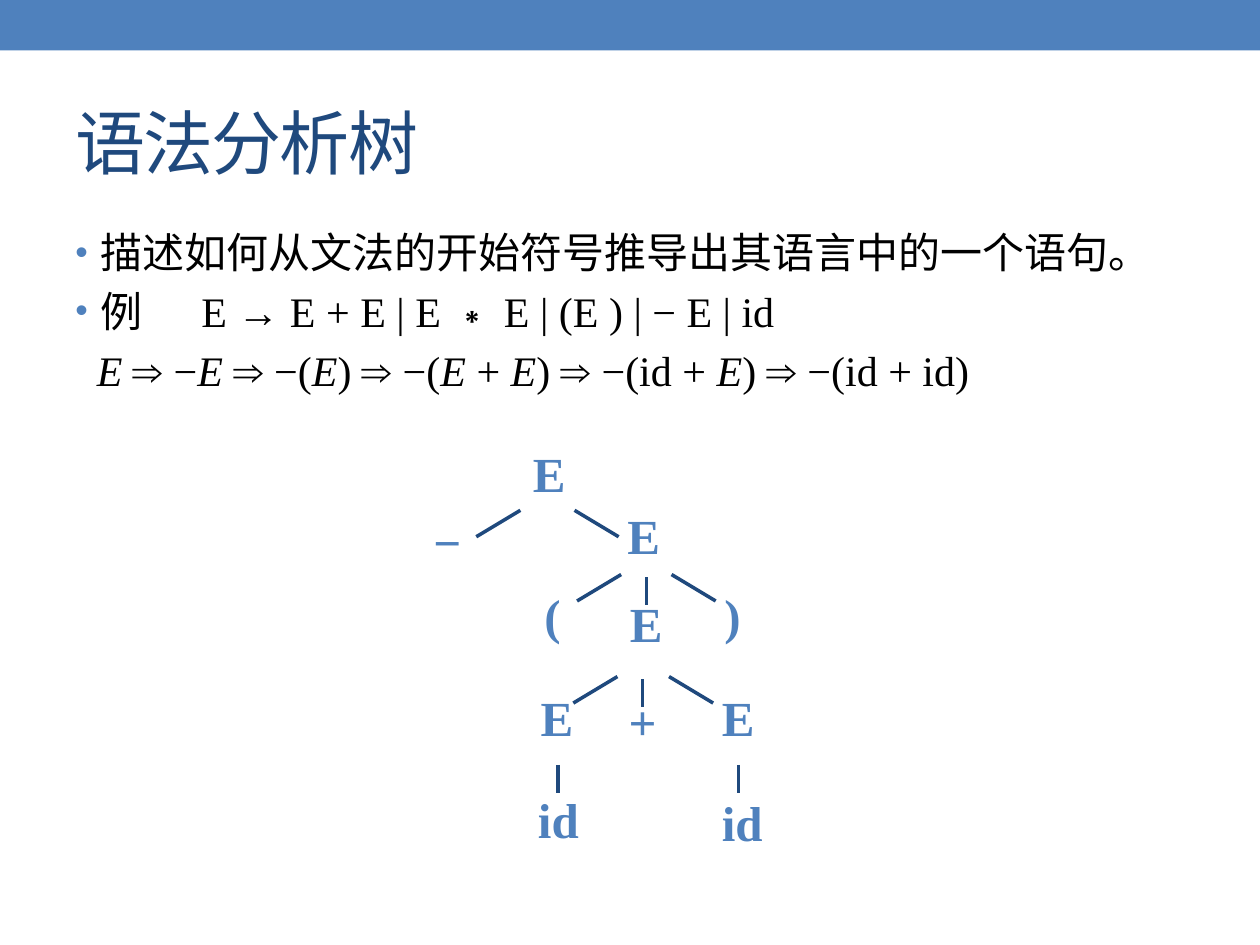
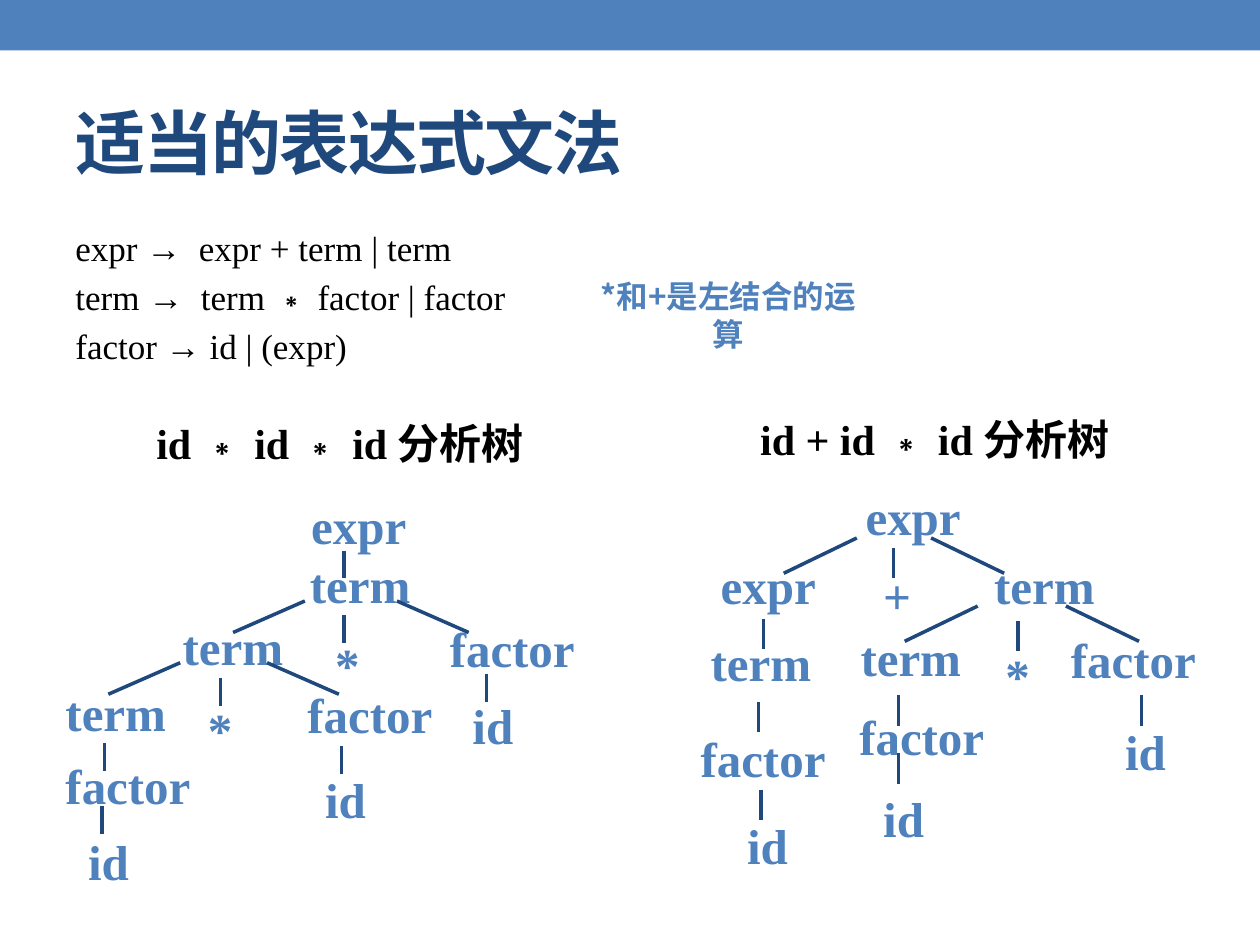
from dataclasses import dataclass
from itertools import groupby

from lxml.etree import SubElement
from pptx import Presentation
from pptx.dml.color import RGBColor
from pptx.enum.shapes import MSO_CONNECTOR as Connector, MSO_SHAPE as Shape
from pptx.enum.text import MSO_ANCHOR as Anchor, PP_ALIGN as Align
from pptx.oxml.ns import qn
from pptx.util import Inches, Pt


@dataclass(frozen=True)
class Theme:
    accent: RGBColor = RGBColor(0x4F, 0x81, 0xBD)
    dark: RGBColor = RGBColor(0x1F, 0x49, 0x7D)
    black: RGBColor = RGBColor(0, 0, 0)
    chinese: str = "Noto Sans CJK SC"
    latin: str = "Times New Roman"
    title: int = 40
    node: int = 28
    body: int = 24
    grammar: int = 20
    note: int = 18
    branch: int = 2
    leading: float = 1.2
    gap: float = 0.2


theme = Theme()


def write(shapes, paragraphs, box, *, size, color=theme.black, face=theme.latin,
          bold=False, italic=False, align=Align.LEFT, anchor=Anchor.TOP,
          inset=(0.1, 0.05), exact=True, spacing=None, indent=(0, 0), bullets=()):
    frame = shapes.add_textbox(*map(Inches, box)).text_frame
    frame.word_wrap = True
    frame.vertical_anchor = anchor
    frame.margin_left = frame.margin_right = Inches(inset[0])
    frame.margin_top = frame.margin_bottom = Inches(inset[1])
    for index, runs in enumerate(paragraphs):
        paragraph = frame.paragraphs[0] if index == 0 else frame.add_paragraph()
        properties = paragraph._p.get_or_add_pPr()
        left, hanging = (0.2, -0.2) if index in bullets else indent
        properties.set("marL", str(Inches(left)))
        properties.set("indent", str(Inches(hanging)))
        if index in bullets:
            tint = SubElement(properties, qn("a:buClr"))
            SubElement(tint, qn("a:srgbClr"), val=str(theme.accent))
            SubElement(properties, qn("a:buSzPct"), val="85000")
            SubElement(properties, qn("a:buFont"), typeface="Arial")
            SubElement(properties, qn("a:buChar"), char="•")
        paragraph.alignment = align
        if exact:
            paragraph.line_spacing = Pt(size * theme.leading)
        if index:
            paragraph.space_before = Pt(size * theme.gap)
        for text, changes in runs:
            run = paragraph.add_run()
            run.text = text
            font = run.font
            font.size = Pt(size)
            font.bold = bold
            font.italic = changes.get("italic", italic)
            font.color.rgb = color
            font.name = changes.get("face", face)
            SubElement(run._r.rPr, qn("a:ea"), typeface=font.name)
            if spacing:
                run._r.rPr.set("spc", str(spacing))


def draw_tree(shapes, nodes, forks, stems, *, reach, drop, stem, height):
    widths = {"expr": 1.05, "term": 1.0, "factor": 1.1}
    for text, left, top in nodes:
        write(shapes, [[(text, {})]], (left, top, widths.get(text, 0.5), height),
              size=theme.node, color=theme.accent, bold=True, inset=(0.02, 0.01))
    branches = [(x, y, x, y + stem) for x, y in stems]
    for left, right, y in forks:
        branches += [(left, y, left - reach, y + drop), (right, y, right + reach, y + drop)]
    for ends in branches:
        branch = shapes.add_connector(Connector.STRAIGHT, *map(Inches, ends))
        branch.line.color.rgb = theme.dark
        branch.line.width = Pt(theme.branch)
        SubElement(branch._element.spPr, qn("a:effectLst"))


deck = Presentation()
deck.slide_width, deck.slide_height = Inches(10), Inches(7.5)
pages = []
for title, bold in (("语法分析树", False), ("适当的表达式文法", True)):
    page = deck.slides.add_slide(deck.slide_layouts[6]).shapes
    band = page.add_shape(Shape.RECTANGLE, 0, 0, Inches(10), Inches(0.4))
    band.shadow.inherit = False
    band.fill.solid()
    band.fill.fore_color.rgb = theme.accent
    band.line.fill.background()
    write(page, [[(title, {})]], (0.5, 0.58, 9, 1.08), size=theme.title, color=theme.dark,
          face=theme.chinese, bold=bold, anchor=Anchor.MIDDLE, exact=False, spacing=-100)
    pages.append(page)
parse_tree, expression_grammar = pages
content_box = (0.5, 1.75, 9, 5.33)

derivation = "E ⇒ −E ⇒ −(E) ⇒ −(E + E) ⇒ −(id + E) ⇒ −(id + id)"
steps = [("".join(part), {"italic": is_symbol})
         for is_symbol, part in groupby(derivation, lambda letter: letter == "E")]
write(parse_tree, [
    [("描述如何从文法的开始符号推导出其语言中的一个语句。", {"face": theme.chinese})],
    [("例\t", {"face": theme.chinese}), ("E → E + E | E ∗ E | (E ) | − E | id", {})],
    steps,
], content_box, size=theme.body, indent=(0.17, 0), bullets=(0, 1))

draw_tree(
    parse_tree.add_group_shape().shapes,
    [("E", 4.21, 3.51), ("−", 3.42, 4.05), ("E", 4.96, 4),
     ("(", 4.3, 4.64), ("E", 4.98, 4.7), (")", 5.73, 4.64),
     ("E", 4.27, 5.45), ("+", 4.97, 5.48), ("E", 5.71, 5.45),
     ("id", 4.25, 6.26), ("id", 5.71, 6.28)],
    [(4.13, 4.56, 4.05), (4.93, 5.33, 4.56), (4.9, 5.31, 5.37)],
    [(5.13, 4.58), (5.1, 5.39), (4.43, 6.07), (5.86, 6.07)],
    reach=0.35, drop=0.21, stem=0.22, height=0.59)

rules = ["expr →  expr + term | term", "term →  term ∗ factor | factor", "factor → id | (expr)"]
write(expression_grammar, [[(rule, {})] for rule in rules], content_box,
      size=theme.grammar, indent=(0.2, -0.2))

product = expression_grammar.add_group_shape().shapes
draw_tree(
    product,
    [("expr", 2.45, 3.92), ("term", 2.44, 4.39),
     ("term", 1.43, 4.88), ("*", 2.64, 5.03), ("factor", 3.55, 4.9),
     ("term", 0.5, 5.41), ("*", 1.63, 5.54), ("factor", 2.42, 5.42), ("id", 3.73, 5.51),
     ("factor", 0.5, 5.99), ("id", 2.56, 6.1), ("id", 0.68, 6.59)],
    [(2.42, 3.15, 4.77), (1.43, 2.12, 5.26)],
    [(2.73, 4.37), (2.73, 4.88), (3.86, 5.35), (1.75, 5.38),
     (0.83, 5.9), (2.71, 5.92), (0.81, 6.4)],
    reach=0.57, drop=0.25, stem=0.22, height=0.42)

mixed = expression_grammar.add_group_shape().shapes
draw_tree(
    mixed,
    [("expr", 6.85, 3.85), ("expr", 5.7, 4.4), ("+", 6.99, 4.48), ("term", 7.87, 4.4),
     ("term", 5.62, 5.01), ("term", 6.81, 4.97), ("*", 7.96, 5.11), ("factor", 8.48, 4.99),
     ("factor", 5.54, 5.77), ("factor", 6.8, 5.6), ("id", 8.91, 5.72),
     ("id", 5.91, 6.46), ("id", 6.99, 6.25)],
    [(6.8, 7.39, 4.27), (7.76, 8.46, 4.81)],
    [(7.09, 4.35), (6.06, 4.91), (6.02, 5.57), (6.04, 6.27),
     (8.08, 4.93), (7.13, 5.52), (9.06, 5.52), (7.13, 5.98)],
    reach=0.58, drop=0.28, stem=0.24, height=0.45)

for tree, sentence, box in ((product, "id ∗ id ∗ id ", (0.75, 3.11, 3.9, 0.81)),
                            (mixed, "id + id ∗ id ", (5.73, 3.04, 3.38, 0.88))):
    write(tree, [[(sentence, {}), ("分析树", {"face": theme.chinese})]], box, size=theme.body,
          bold=True, align=Align.CENTER, anchor=Anchor.MIDDLE, exact=False)

write(expression_grammar, [[("*和+是左结合的运算", {})]], (4.55, 2.15, 2.46, 0.4), size=theme.note,
      color=theme.accent, face=theme.chinese, bold=True, align=Align.CENTER)

deck.save("out.pptx")
